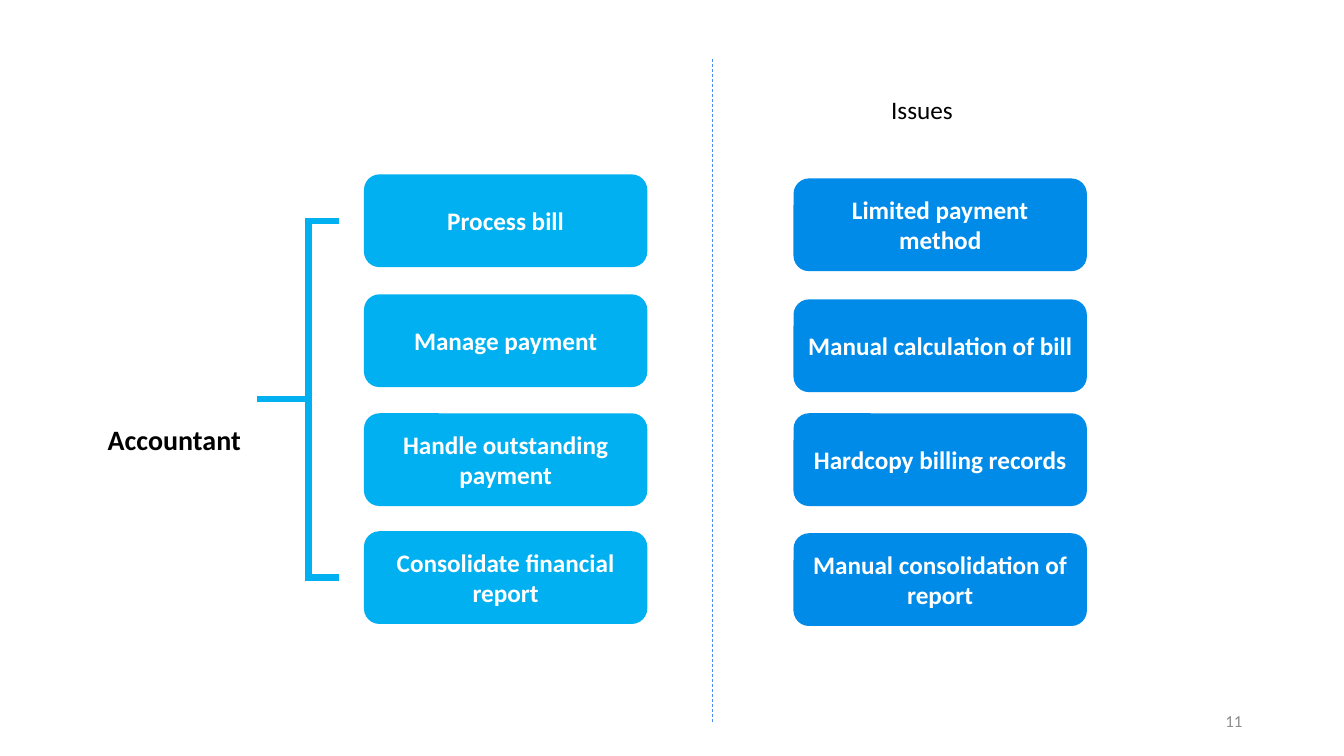
from lxml import etree
from pptx import Presentation
from pptx.dml.color import RGBColor
from pptx.enum.dml import MSO_LINE
from pptx.enum.shapes import MSO_CONNECTOR, MSO_SHAPE
from pptx.enum.text import MSO_ANCHOR, PP_ALIGN
from pptx.oxml.ns import qn
from pptx.util import Inches, Pt

CYAN = RGBColor(0x00, 0xB0, 0xF0)
BLUE = RGBColor(0x01, 0x8B, 0xE9)
RULE = RGBColor(0x4A, 0x8E, 0xF2)
GRAY = RGBColor(0x8C, 0x8C, 0x8C)
BLACK = RGBColor(0, 0, 0)
WHITE = RGBColor(255, 255, 255)
ROUND = MSO_SHAPE.ROUNDED_RECTANGLE
STRAIGHT = MSO_CONNECTOR.STRAIGHT
DASH = MSO_LINE.DASH
MIDDLE, TOP = MSO_ANCHOR.MIDDLE, MSO_ANCHOR.TOP
LEFT, CENTER, RIGHT = PP_ALIGN.LEFT, PP_ALIGN.CENTER, PP_ALIGN.RIGHT

deck = Presentation()
deck.slide_width, deck.slide_height = Inches(13.33), Inches(7.5)
slide = deck.slides.add_slide(deck.slide_layouts[6])
shapes = slide.shapes


def write(shape, text, size, color, bold, align, anchor):
    frame = shape.text_frame
    frame.text = text
    frame.word_wrap = True
    frame.vertical_anchor = anchor
    para = frame.paragraphs[0]
    para.alignment = align
    font = para.font
    font.name, font.size, font.bold = "Calibri", Pt(size), bold
    font.color.rgb = color


def draw(x1, y1, x2, y2, color, width):
    line = shapes.add_connector(
        STRAIGHT, Inches(x1), Inches(y1), Inches(x2), Inches(y2))
    line.line.color.rgb = color
    line.line.width = Pt(width)
    etree.SubElement(line._element.spPr, qn("a:effectLst"))
    return line


columns = [
    (3.61, 2.81, CYAN, [
        (1.73, "Process bill"),
        (2.92, "Manage payment"),
        (4.1, "Handle outstanding payment"),
        (5.27, "Consolidate financial report")]),
    (7.87, 2.91, BLUE, [
        (1.77, "Limited payment method"),
        (2.97, "Manual calculation of bill"),
        (4.1, "Hardcopy billing records"),
        (5.29, "Manual consolidation of report")]),
]
for left, width, color, cards in columns:
    for top, text in cards:
        card = shapes.add_shape(
            ROUND, Inches(left), Inches(top), Inches(width), Inches(0.92))
        card.shadow.inherit = False
        card.fill.solid()
        card.fill.fore_color.rgb = color
        card.line.fill.background()
        write(card, text, 18, WHITE, True, CENTER, MIDDLE)

bracket = [
    (2.55, 3.96, 3.03, 3.96),
    (3.03, 2.19, 3.36, 2.19),
    (3.03, 5.73, 3.36, 5.73),
    (3.06, 2.17, 3.06, 5.75),
]
for ends in bracket:
    draw(*ends, CYAN, 4.5)

split = draw(7.07, 0.59, 7.07, 7.18, RULE, 0.5)
split.line.dash_style = DASH

labels = [
    ("Issues", 8.74, 0.89, 0.83, 0.4, 18, BLACK, False, LEFT, TOP),
    ("Accountant", 0.97, 4.14, 1.99, 0.44, 20, BLACK, True, LEFT, TOP),
    ("11", 9.42, 6.95, 3, 0.4, 12, GRAY, False, RIGHT, MIDDLE),
]
for text, left, top, width, height, *style in labels:
    box = shapes.add_textbox(
        Inches(left), Inches(top), Inches(width), Inches(height))
    write(box, text, *style)
    box.text_frame.word_wrap = text != "Issues"

deck.save("out.pptx")
